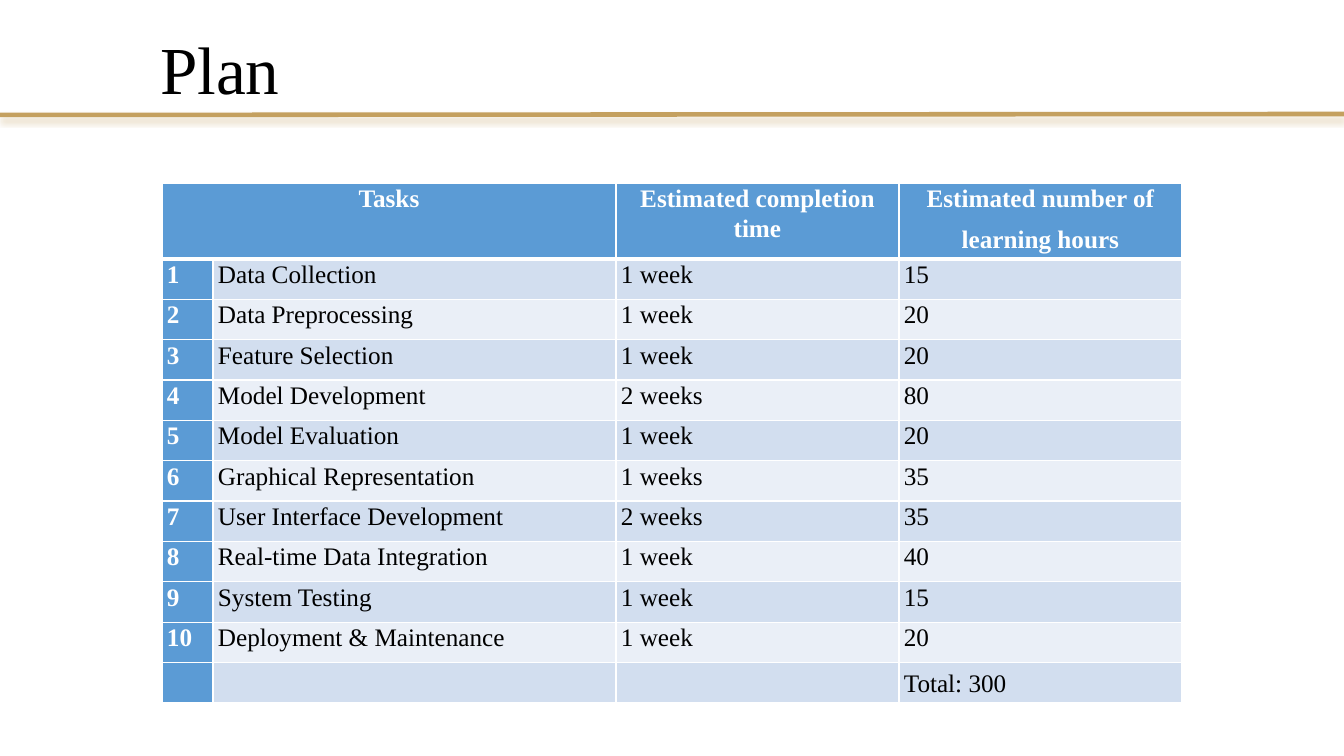
from lxml import etree
from pptx import Presentation
from pptx import util as u
from pptx.dml.color import RGBColor
from pptx.enum import shapes, text
from pptx.oxml import parse_xml
from pptx.oxml.ns import nsdecls, qn

PX = 12192000 / 1344
FONT = "Times New Roman"
HUES = {"gold": "C4A05F", "blue": "5B9BD5", "dark": "D2DEEF",
        "pale": "EAEFF7", "white": "FFFFFF", "black": "000000"}


def px(num):
    return u.Emu(round(num * PX))


def style(para, size, hue, bold=False):
    font = para.font
    font.name, font.size, font.bold = FONT, u.Pt(size), bold
    font.color.rgb = RGBColor.from_string(HUES[hue])


deck = Presentation()
deck.slide_width, deck.slide_height = px(1344), px(756)
slide = deck.slides.add_slide(deck.slide_layouts[5])

# Rule under the title, with a soft shadow
rule = slide.shapes.add_connector(
    shapes.MSO_CONNECTOR.STRAIGHT, px(0), px(115), px(1344), px(114))
rule.line.width = u.Pt(3.25)
rule.line.color.rgb = RGBColor.from_string(HUES["gold"])
rule._element.spPr.append(parse_xml(
    f'<a:effectLst {nsdecls("a")}>'
    f'<a:outerShdw blurRad="{u.Pt(4)}" dist="{u.Pt(3)}" dir="5400000" rotWithShape="0">'
    f'<a:srgbClr val="{HUES["gold"]}"><a:alpha val="40000"/></a:srgbClr>'
    '</a:outerShdw></a:effectLst>'))

# Title
title = slide.shapes.title
title.left, title.top, title.width, title.height = px(150), px(22), px(141), px(92)
frame = title.text_frame
frame.text = "Plan"
frame.word_wrap = False
frame.auto_size = text.MSO_AUTO_SIZE.SHAPE_TO_FIT_TEXT
frame.vertical_anchor = text.MSO_ANCHOR.TOP
frame.paragraphs[0].alignment = text.PP_ALIGN.LEFT
style(frame.paragraphs[0], 48, "black")

# Plan table
rows = [
    ("Tasks", "", "Estimated completion time", "Estimated number of\nlearning hours"),
    ("1", "Data Collection", "1 week", "15"),
    ("2", "Data Preprocessing", "1 week", "20"),
    ("3", "Feature Selection", "1 week", "20"),
    ("4", "Model Development", "2 weeks", "80"),
    ("5", "Model Evaluation", "1 week", "20"),
    ("6", "Graphical Representation", "1 weeks", "35"),
    ("7", "User Interface Development", "2 weeks", "35"),
    ("8", "Real-time Data Integration", "1 week", "40"),
    ("9", "System Testing", "1 week", "15"),
    ("10", "Deployment & Maintenance", "1 week", "20"),
    ("", "", "", "Total: 300"),
]
cols = [51, 403, 283, 283]
head, body = 74, 444
table = slide.shapes.add_table(
    len(rows), len(cols), px(162), px(183), px(sum(cols)), px(head + body)).table
table.first_row = table.horz_banding = False
for col, wide in zip(table.columns, cols):
    col.width = px(wide)
for row in table.rows:
    row.height = px(body / (len(rows) - 1))
table.rows[0].height = px(head)
table.cell(0, 0).merge(table.cell(0, 1))

for r, row in enumerate(rows):
    for c, words in enumerate(row):
        cell = table.cell(r, c)
        label = r == 0 or c == 0
        fill = "blue" if label else "dark" if r % 2 else "pale"
        cell.fill.solid()
        cell.fill.fore_color.rgb = RGBColor.from_string(HUES[fill])
        cell.margin_left = cell.margin_right = px(5)
        cell.margin_top = cell.margin_bottom = 0
        if words:
            cell.text = words
        for para in cell.text_frame.paragraphs:
            para.line_spacing = 1.07
            para.space_after = u.Pt(8)
            if r == 0:
                para.alignment = text.PP_ALIGN.CENTER
            style(para, 18, "white" if label else "black", label)
        for n, side in enumerate(("lnL", "lnR", "lnT", "lnB")):
            thick = (r, side) in ((0, "lnB"), (1, "lnT"))
            edge = etree.Element(qn(f"a:{side}"), w=str(u.Pt(3 if thick else 1)))
            paint = etree.SubElement(edge, qn("a:solidFill"))
            etree.SubElement(paint, qn("a:srgbClr"), val=HUES["white"])
            cell._tc.get_or_add_tcPr().insert(n, edge)
table.cell(len(rows) - 1, 3).vertical_anchor = text.MSO_ANCHOR.MIDDLE

deck.save("out.pptx")
